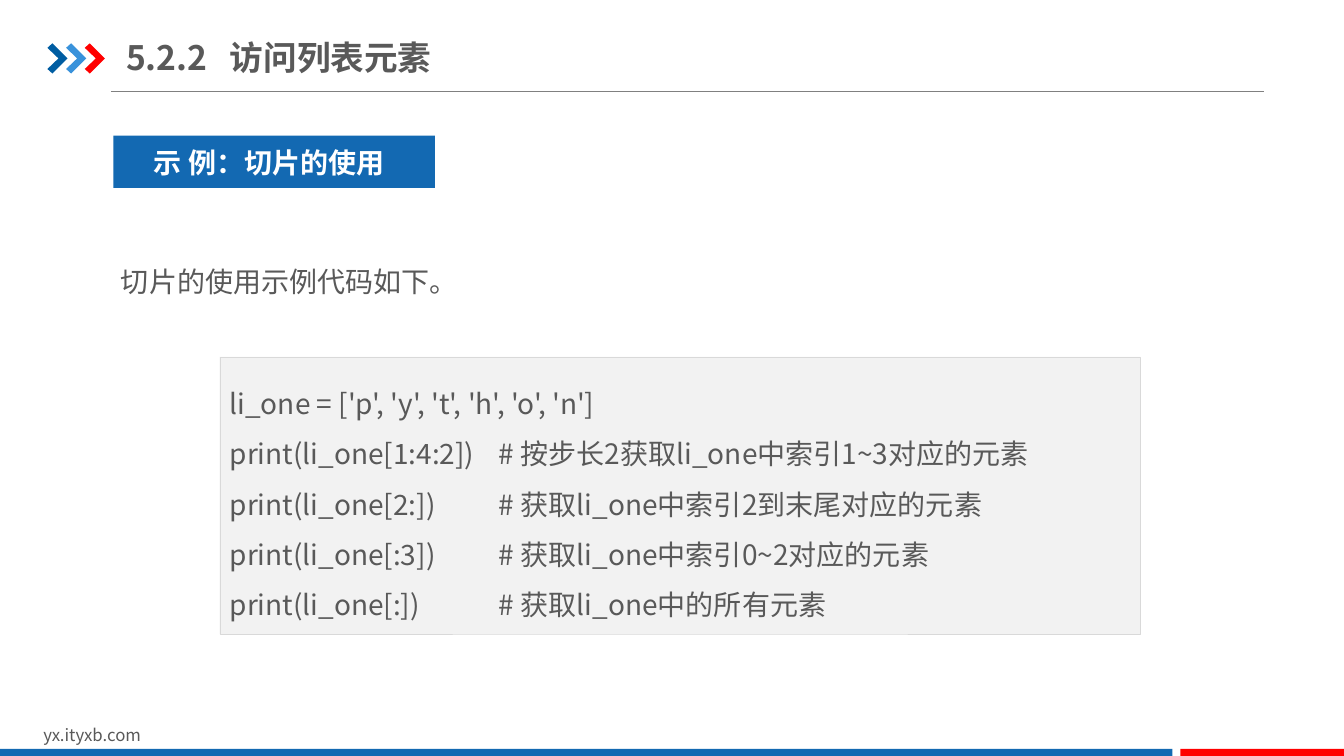
from lxml.etree import SubElement
from pptx import Presentation
from pptx.dml.color import RGBColor
from pptx.enum.shapes import MSO_CONNECTOR, MSO_SHAPE
from pptx.enum.text import MSO_ANCHOR, PP_ALIGN
from pptx.oxml.ns import qn
from pptx.util import Inches, Pt

WIDTH, HEIGHT = Inches(13.33), Inches(7.5)
FONT = "Noto Sans CJK SC"
WHITE = RGBColor(0xFF, 0xFF, 0xFF)
TEXT_GREY = RGBColor(0x59, 0x59, 0x59)
RULE_GREY = RGBColor(0x80, 0x80, 0x80)
PANEL = RGBColor(0xF2, 0xF2, 0xF2)
PANEL_EDGE = RGBColor(0xD9, 0xD9, 0xD9)
BLUE = RGBColor(0x13, 0x69, 0xB2)
DARK_BLUE = RGBColor(0x00, 0x5D, 0xA2)
LIGHT_BLUE = RGBColor(0x39, 0x92, 0xDB)
RED = RGBColor(0xFF, 0x00, 0x00)

# Chevron outline as shares of its own width and height
CHEVRON = [(0, 0.15), (0.25, 0), (1, 0.5), (0.25, 1), (0, 0.85), (0.55, 0.5)]

CODE = [
    "li_one = ['p', 'y', 't', 'h', 'o', 'n']",
    "print(li_one[1:4:2])\t# 按步长2获取li_one中索引1~3对应的元素",
    "print(li_one[2:])\t# 获取li_one中索引2到末尾对应的元素",
    "print(li_one[:3])\t# 获取li_one中索引0~2对应的元素",
    "print(li_one[:])\t# 获取li_one中的所有元素",
]


def across(percent):
    return round(WIDTH * percent / 100)


def down(percent):
    return round(HEIGHT * percent / 100)


def box(left, top, width, height):
    """Turn percentages of the slide into lengths."""
    return across(left), down(top), across(width), down(height)


def paint(shape, fill, edge=None):
    shape.shadow.inherit = False
    shape.fill.solid()
    shape.fill.fore_color.rgb = fill
    if edge is None:
        shape.line.fill.background()
    else:
        shape.line.color.rgb = edge
        shape.line.width = Pt(0.25)


def add_block(slide, place, fill, edge=None):
    shape = slide.shapes.add_shape(MSO_SHAPE.RECTANGLE, *box(*place))
    paint(shape, fill, edge)
    return shape


def add_chevron(slide, left, fill):
    x, y, width, height = box(left, 5.73, 1.5, 4)
    points = [(round(x + width * a), round(y + height * b)) for a, b in CHEVRON]
    builder = slide.shapes.build_freeform(*points[0])
    builder.add_line_segments(points[1:], close=True)
    paint(builder.convert_to_shape(), fill)


def add_rule(slide, left, right, top):
    rule = slide.shapes.add_connector(
        MSO_CONNECTOR.STRAIGHT, across(left), down(top), across(right), down(top))
    rule.line.color.rgb = RULE_GREY
    rule.line.width = Pt(0.75)
    SubElement(rule._element.spPr, qn("a:effectLst"))


def write(shape, lines, size, color=TEXT_GREY, bold=False, tab=None,
          paragraph_format=None, frame_format=None):
    frame = shape.text_frame
    frame.word_wrap = True
    for name, value in (frame_format or {}).items():
        setattr(frame, name, value)
    font_format = {"name": FONT, "size": Pt(size), "bold": bold}
    for index, line in enumerate(lines):
        paragraph = frame.add_paragraph() if index else frame.paragraphs[0]
        for name, value in (paragraph_format or {}).items():
            setattr(paragraph, name, value)
        if tab:
            stops = SubElement(paragraph._p.get_or_add_pPr(), qn("a:tabLst"))
            SubElement(stops, qn("a:tab"), pos=str(Inches(tab)), algn="l")
        run = paragraph.add_run()
        run.text = line
        for name, value in font_format.items():
            setattr(run.font, name, value)
        run.font.color.rgb = color
        SubElement(run._r.get_or_add_rPr(), qn("a:ea"), typeface=FONT)


def add_text(slide, place, lines, size, **options):
    write(slide.shapes.add_textbox(*box(*place)), lines, size, **options)


def main():
    presentation = Presentation()
    presentation.slide_width, presentation.slide_height = WIDTH, HEIGHT
    slide = presentation.slides.add_slide(presentation.slide_layouts[6])

    # Header rule and chevrons
    add_rule(slide, 8.25, 94.05, 12.13)
    for index, color in enumerate((DARK_BLUE, LIGHT_BLUE, RED)):
        add_chevron(slide, 3.53 + 1.39 * index, color)

    # Footer
    add_text(slide, (2.48, 95.2, 23.85, 4), ["yx.ityxb.com"], 12)
    add_block(slide, (0, 99.07, 87.23, 0.93), BLUE)
    add_block(slide, (87.83, 99.07, 12.17, 0.93), RED)

    # Title
    add_text(slide, (9.38, 3.87, 48.15, 7.33), ["5.2.2\t访问列表元素"], 24,
             bold=True, tab=1.03,
             frame_format={"vertical_anchor": MSO_ANCHOR.MIDDLE,
                           "margin_left": 0, "margin_right": 0})

    # Introduction
    add_text(slide, (8.03, 31.87, 77.7, 8.8), ["切片的使用示例代码如下。"], 20,
             paragraph_format={"alignment": PP_ALIGN.JUSTIFY, "line_spacing": 1.5},
             frame_format={"margin_left": Inches(0.13), "margin_right": Inches(0.13),
                           "margin_top": Inches(0.07)})

    # Code panel
    panel = add_block(slide, (16.35, 47.2, 68.48, 36.67), PANEL, PANEL_EDGE)
    write(panel, CODE, 20, tab=2.67,
          paragraph_format={"alignment": PP_ALIGN.LEFT, "line_spacing": 1.5},
          frame_format={"vertical_anchor": MSO_ANCHOR.MIDDLE})

    # Example label
    add_block(slide, (8.44, 17.93, 23.93, 6.93), BLUE)
    add_text(slide, (8.03, 18.53, 24, 5.87), ["示 例：切片的使用"], 20,
             color=WHITE, bold=True,
             paragraph_format={"alignment": PP_ALIGN.CENTER})

    presentation.save("out.pptx")


if __name__ == "__main__":
    main()
